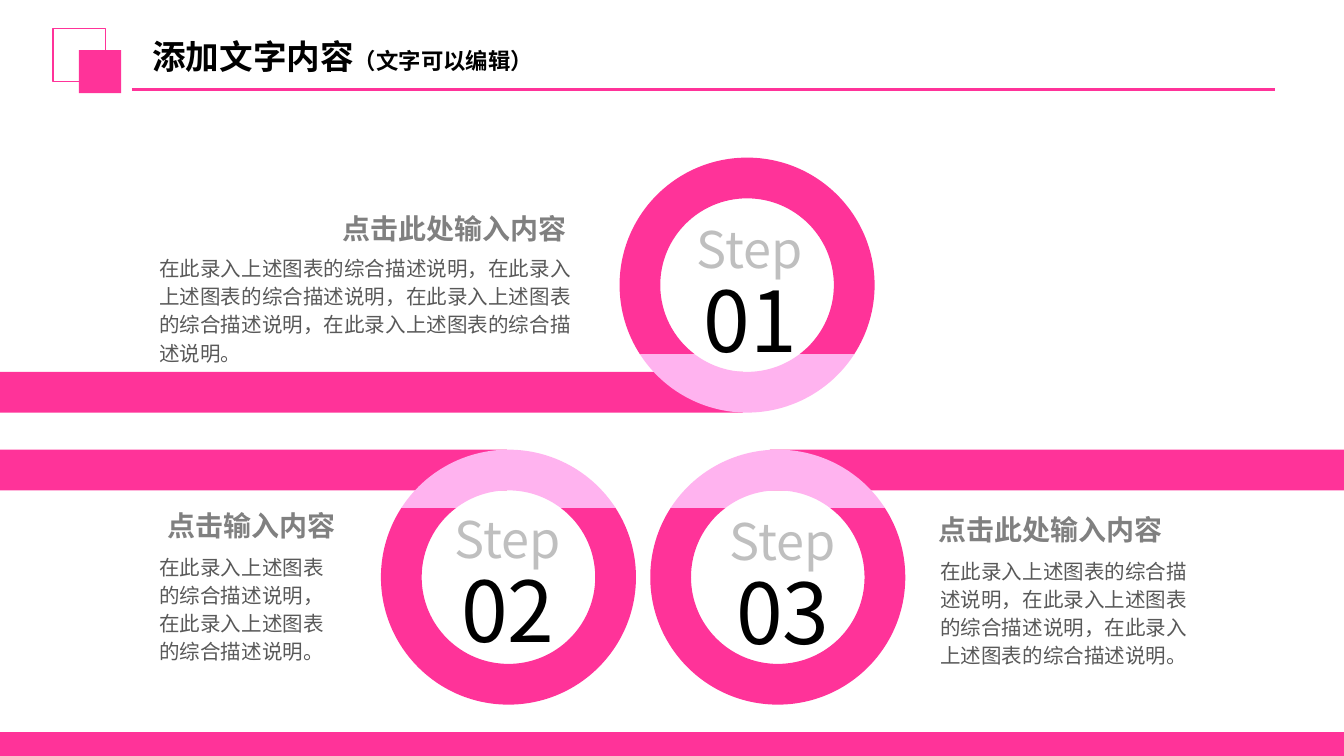
"""Build a three-step ring diagram slide."""
from math import asin, ceil, cos, floor, pi, sin, tan

from lxml.etree import SubElement
from pptx import Presentation
from pptx.dml.color import RGBColor
from pptx.enum.shapes import MSO_CONNECTOR, MSO_SHAPE
from pptx.enum.text import MSO_AUTO_SIZE, PP_ALIGN
from pptx.oxml.ns import qn
from pptx.util import Cm, Pt

PINK = RGBColor(0xFF, 0x33, 0x99)
LIGHT_PINK = RGBColor(0xFF, 0xB3, 0xEF)
BLACK = RGBColor(0x00, 0x00, 0x00)
SILVER = RGBColor(0xBF, 0xBF, 0xBF)
GRAY = RGBColor(0x80, 0x80, 0x80)
DARK_GRAY = RGBColor(0x59, 0x59, 0x59)
FONT = "Noto Sans CJK SC"

WIDTH, HEIGHT = 25.4, 14.29
OUTER, INNER, CUT = 2.41, 1.64, 1.31

STEPS = [
    ("01", 14.12, 5.39, 1, (0, 14.04), (12.97, 4.16)),
    ("02", 9.61, 10.91, -1, (0, 9.58), (8.39, 9.64)),
    ("03", 14.7, 10.91, -1, (14.55, WIDTH), (13.59, 9.68)),
]
HEADINGS = [
    ("点击此处输入内容", 5.51, 3.9, PP_ALIGN.RIGHT),
    ("点击此处输入内容", 17.17, 9.58, PP_ALIGN.CENTER),
    ("点击输入内容", 2.06, 9.52, PP_ALIGN.CENTER),
]
PHRASE = "在此录入上述图表的综合描述说明"
BODIES = [(4, 2.82, 4.68, 8.28), (3, 17.58, 10.4, 5.38), (2, 2.82, 10.33, 3.86)]


def style(sp, fill=None, line=None):
    """Set the fill and outline of a shape and drop its shadow."""
    sp.shadow.inherit = False
    if fill is None:
        sp.fill.background()
    else:
        sp.fill.solid()
        sp.fill.fore_color.rgb = fill
    if line is None:
        sp.line.fill.background()
    else:
        sp.line.color.rgb = line
        sp.line.width = Pt(0.75)


def add_rect(slide, left, top, width, height, **colors):
    """Add a rectangle measured in centimetres."""
    sp = slide.shapes.add_shape(
        MSO_SHAPE.RECTANGLE, Cm(left), Cm(top), Cm(width), Cm(height))
    style(sp, **colors)


def add_rule(slide, left, right, y):
    """Add the horizontal line under the title."""
    line = slide.shapes.add_connector(
        MSO_CONNECTOR.STRAIGHT, Cm(left), Cm(y), Cm(right), Cm(y))
    line.line.color.rgb = PINK
    line.line.width = Pt(1.25)
    SubElement(line._element.spPr, qn("a:effectLst"))


def add_box(slide, left, top, width, height, wrap=True):
    """Add an empty text box and return its text frame."""
    tf = slide.shapes.add_textbox(
        Cm(left), Cm(top), Cm(width), Cm(height)).text_frame
    tf.word_wrap = wrap
    tf.auto_size = MSO_AUTO_SIZE.SHAPE_TO_FIT_TEXT
    tf.margin_left = tf.margin_right = Cm(0.19)
    tf.margin_top = tf.margin_bottom = Cm(0.1)
    return tf


def add_text(p, text, size, color, bold=False, align=None, spacing=None):
    """Add a formatted run to a paragraph."""
    r = p.add_run()
    r.text = text
    r.font.size = Pt(size)
    r.font.bold = bold
    r.font.color.rgb = color
    r.font.name = FONT
    SubElement(r._r.get_or_add_rPr(), qn("a:ea"), typeface=FONT)
    if align is not None:
        p.alignment = align
    if spacing is not None:
        p.line_spacing = spacing


def arc(x, y, side, radius, start, end):
    """Return the start and Bezier points of an arc, split at each quadrant."""
    low, high = sorted((start, end))
    quarters = range(ceil(low / (pi / 2)), floor(high / (pi / 2)) + 1)
    angles = sorted([start, end] + [q * pi / 2 for q in quarters],
                    reverse=start > end)

    def point(angle, pull=0):
        return (Cm(x + radius * (cos(angle) - pull * sin(angle))),
                Cm(y + side * radius * (sin(angle) + pull * cos(angle))))

    points = [point(start)]
    for a, b in zip(angles, angles[1:]):
        pull = 4 / 3 * tan((b - a) / 4)
        points += [point(a, pull), point(b, -pull), point(b)]
    return points


def add_band(shapes, outer_arc, inner_arc, fill):
    """Add the part of a ring between two curved arcs."""
    points = outer_arc + inner_arc
    builder = shapes.build_freeform(*points[0])
    builder.add_line_segments(points[1:], close=True)
    sp = builder.convert_to_shape()
    style(sp, fill=fill)
    lines = list(sp._element.iter(qn("a:lnTo")))
    split = len(outer_arc) - 1
    for curve in (lines[:split], lines[split + 1:]):
        for first, second, third in zip(curve[::3], curve[1::3], curve[2::3]):
            first.tag = qn("a:cubicBezTo")
            for node in (second, third):
                first.append(node[0])
                node.getparent().remove(node)


def add_ring(slide, x, y, side):
    """Add a ring whose light cap is below (1) or above (-1) the centre."""
    shapes = slide.shapes.add_group_shape().shapes
    a, b = asin(CUT / OUTER), asin(CUT / INNER)
    add_band(shapes, arc(x, y, side, OUTER, pi - a, 2 * pi + a),
             arc(x, y, side, INNER, 2 * pi + b, pi - b), PINK)
    add_band(shapes, arc(x, y, side, OUTER, a, pi - a),
             arc(x, y, side, INNER, pi - b, b), LIGHT_PINK)


def add_step(slide, number, x, y, side, bar, label):
    """Add a bar, its label and its ring."""
    left, right = bar
    top = y + INNER if side > 0 else y - OUTER
    add_rect(slide, left, top, right - left, OUTER - INNER, fill=PINK)
    tf = add_box(slide, *label, 2.41, 2.97, wrap=False)
    centred = {"align": PP_ALIGN.CENTER, "spacing": 0.9}
    add_text(tf.paragraphs[0], "Step", size=27, color=SILVER, **centred)
    add_text(tf.add_paragraph(), number, size=45, color=BLACK, **centred)
    add_ring(slide, x, y, side)


def add_header(slide):
    """Add the title, its decoration and the bottom band."""
    add_rect(slide, 0, 13.84, WIDTH, 0.48, fill=PINK)
    add_rect(slide, 1, 0.54, 1, 1, line=PINK)
    add_rect(slide, 1.49, 0.95, 0.8, 0.81, fill=PINK)
    add_rule(slide, 2.49, 24.1, 1.69)
    p = add_box(slide, 2.69, 0.58, 9.75, 0.97).paragraphs[0]
    add_text(p, "添加文字内容", size=18, color=BLACK, bold=True)
    add_text(p, "（文字可以编辑）", size=12, color=BLACK, bold=True)


def main():
    """Build and save the slide."""
    prs = Presentation()
    prs.slide_width, prs.slide_height = Cm(WIDTH), Cm(HEIGHT)
    s = prs.slides.add_slide(prs.slide_layouts[6])
    add_header(s)
    for step in STEPS:
        add_step(s, *step)
    for (text, left, top, align), (count, x, y, width) in zip(HEADINGS, BODIES):
        p = add_box(s, left, top, 5.38, 0.84).paragraphs[0]
        add_text(p, text, size=15, color=GRAY, bold=True, align=align)
        p = add_box(s, x, y, width, 2.34).paragraphs[0]
        add_text(p, "，".join([PHRASE] * count) + "。", size=11,
                 color=DARK_GRAY, spacing=1.14)
    prs.save("out.pptx")


if __name__ == "__main__":
    main()
